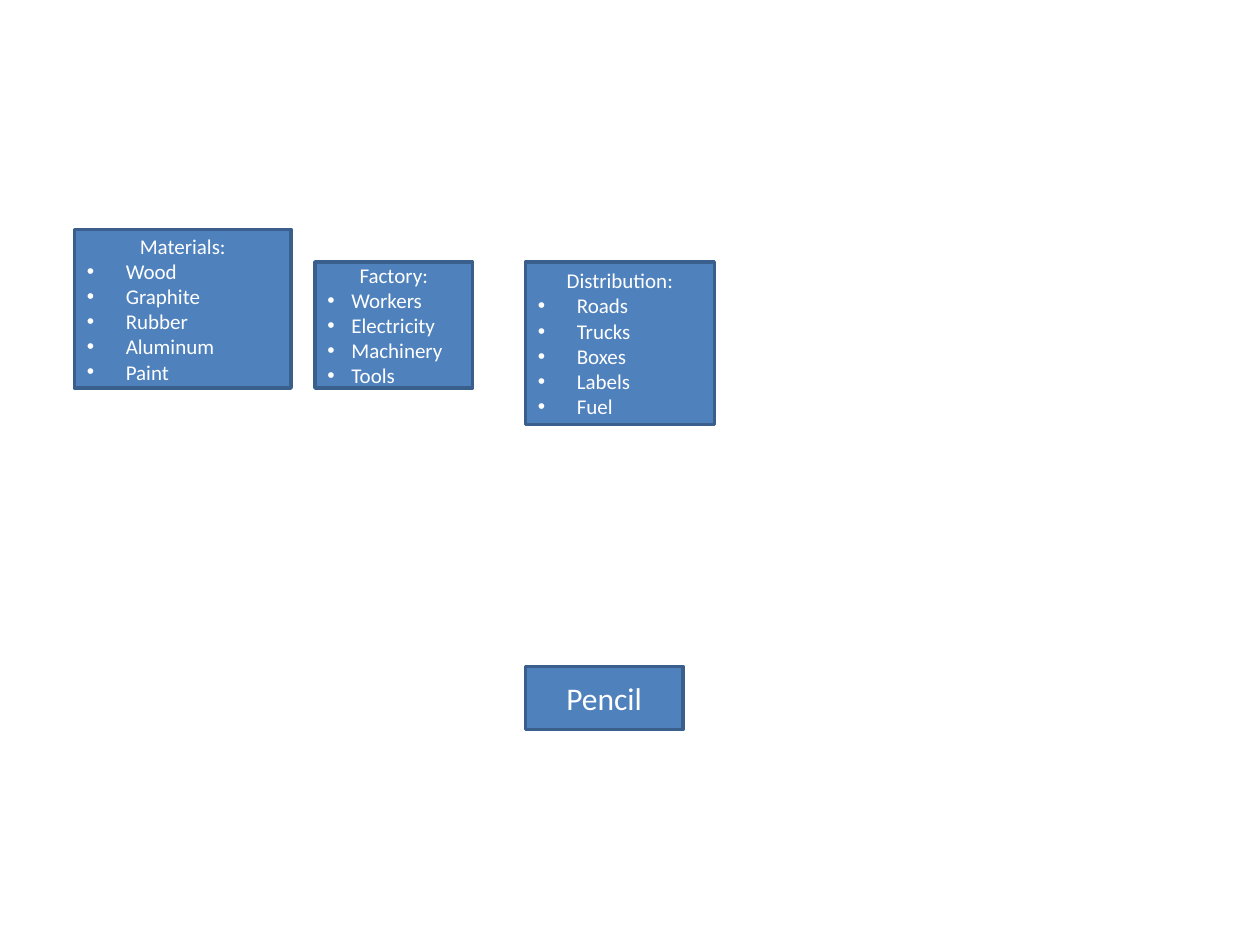
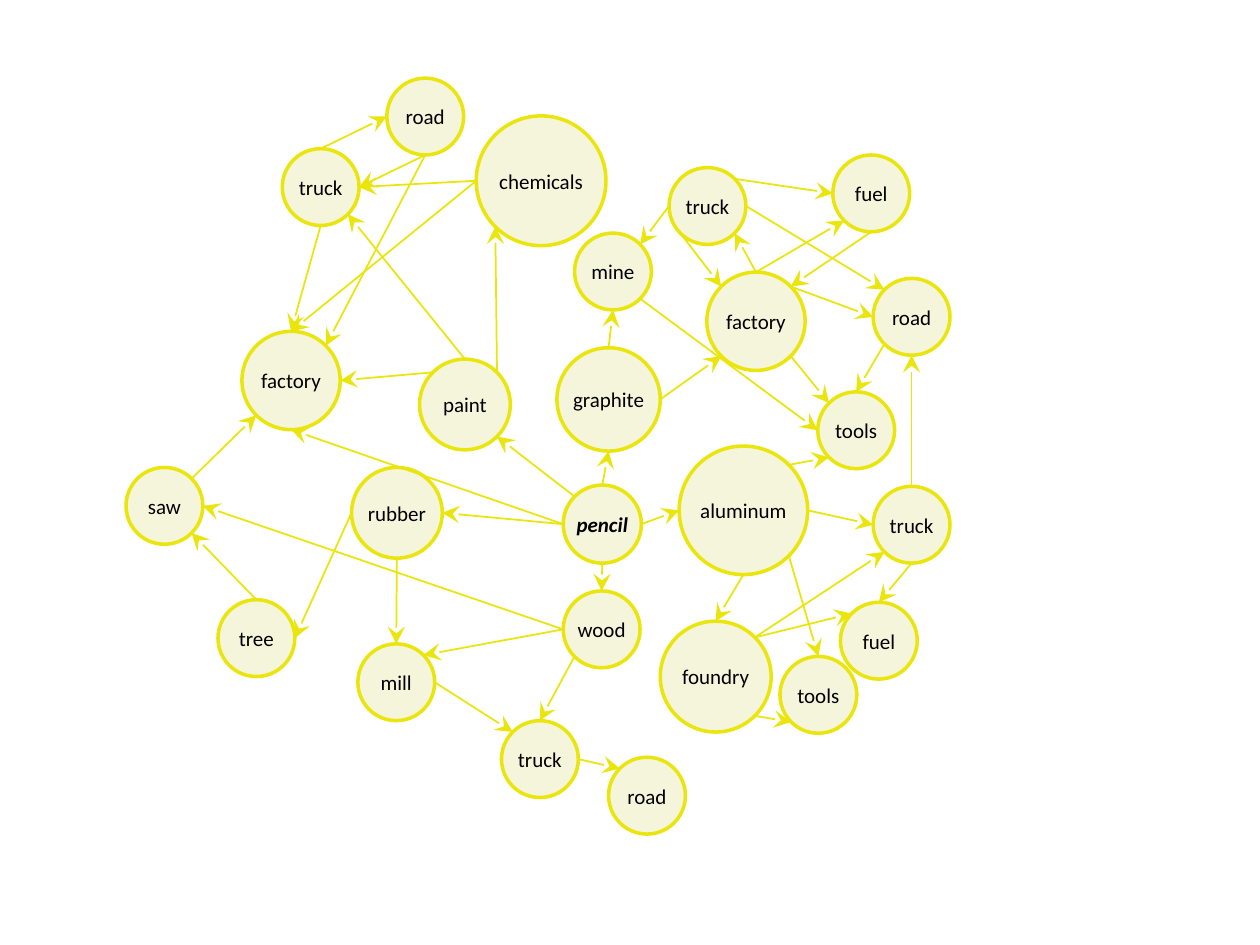
from math import hypot

from lxml.etree import SubElement
from pptx import Presentation
from pptx.dml.color import RGBColor
from pptx.enum.shapes import MSO_CONNECTOR, MSO_SHAPE
from pptx.enum.text import MSO_ANCHOR, PP_ALIGN
from pptx.oxml.ns import qn
from pptx.util import Inches, Pt

COLORS = {
    "box": "4F81BD",
    "box_edge": "3A5F8C",
    "box_text": "FFFFFF",
    "node": "F5F5DC",
    "node_edge": "EAE50D",
    "node_text": "000000",
}
FONT = "Calibri"
SLIDE_WIDTH, SLIDE_HEIGHT = Inches(10), Inches(7.5)
COLUMNS = 100
CELL = SLIDE_WIDTH / COLUMNS
SMALL = 6.1

STAGES = [
    ("Factory:", ["Workers", "Electricity", "Machinery", "Tools"], (25, 20.8, 12.5, 10), 0.19),
    ("Distribution:", ["Roads", "Trucks", "Boxes", "Labels", "Fuel"], (41.7, 20.8, 15, 12.9), 0.31),
    ("Materials:", ["Wood", "Graphite", "Rubber", "Aluminum", "Paint"], (5.9, 18.2, 17.2, 12.6), 0.31),
]

NODES = {
    "pencil": (47.8, 41.6, 6.2),
    "graphite": (48.3, 31.7, 8.2),
    "aluminum": (59, 40.5, 10.2),
    "wood": (47.75, 49.95, SMALL),
    "rubber": (31.5, 40.7, 7.2),
    "tree": (20.35, 50.65, SMALL),
    "saw": (13.05, 40.15, SMALL),
    "mill": (31.45, 54.15, SMALL),
    "paint": (36.9, 32.1, 7.2),
    "chemicals": (42.95, 14.35, 10.3),
    "foundry": (56.8, 53.7, 8.8),
    "mine": (48.65, 21.55, SMALL),
    "factory west": (23.1, 30.2, 7.8),
    "factory east": (60, 25.5, 7.8),
    "truck west": (25.45, 14.85, SMALL),
    "truck north": (56.15, 16.35, SMALL),
    "truck east": (72.35, 41.65, SMALL),
    "truck south": (42.85, 60.25, SMALL),
    "road west": (33.75, 9.25, SMALL),
    "road east": (72.35, 25.15, SMALL),
    "road south": (51.35, 63.15, SMALL),
    "fuel north": (69.15, 15.35, SMALL),
    "fuel south": (69.75, 50.85, SMALL),
    "tools east": (67.95, 34.15, SMALL),
    "tools south": (64.95, 55.15, SMALL),
}

NEEDS = [
    ("pencil", "N", "graphite", "S"),
    ("pencil", "E", "aluminum", "W"),
    ("pencil", "S", "wood", "N"),
    ("pencil", "W", "rubber", "E"),
    ("pencil", "NW", "paint", "SE"),
    ("pencil", "W", "factory west", "S"),
    ("paint", "NW", "factory west", "E"),
    ("paint", "N", "truck west", "SE"),
    ("paint", "NE", "chemicals", "SW"),
    ("chemicals", "W", "factory west", "N"),
    ("chemicals", "W", "truck west", "E"),
    ("truck west", "N", "road west", "W"),
    ("truck west", "S", "factory west", "N"),
    ("road west", "S", "truck west", "E"),
    ("road west", "S", "factory west", "NE"),
    ("graphite", "N", "mine", "S"),
    ("graphite", "E", "factory east", "SW"),
    ("mine", "SE", "tools east", "W"),
    ("factory east", "SE", "tools east", "NW"),
    ("factory east", "N", "truck north", "SE"),
    ("factory east", "NE", "road east", "W"),
    ("factory east", "N", "fuel north", "SW"),
    ("truck north", "SW", "factory east", "NW"),
    ("truck north", "W", "mine", "NE"),
    ("truck north", "E", "road east", "NW"),
    ("truck north", "NE", "fuel north", "W"),
    ("fuel north", "S", "factory east", "NE"),
    ("road east", "SW", "tools east", "N"),
    ("aluminum", "NE", "tools east", "SW"),
    ("aluminum", "E", "truck east", "W"),
    ("aluminum", "SE", "tools south", "N"),
    ("aluminum", "S", "foundry", "N"),
    ("foundry", "SE", "tools south", "SW"),
    ("foundry", "NE", "fuel south", "NW"),
    ("foundry", "NE", "truck east", "SW"),
    ("truck east", "S", "fuel south", "N"),
    ("truck east", "N", "road east", "S"),
    ("rubber", "W", "tree", "E"),
    ("rubber", "S", "mill", "N"),
    ("tree", "N", "saw", "SE"),
    ("saw", "NE", "factory west", "SW"),
    ("wood", "W", "mill", "NE"),
    ("wood", "SW", "truck south", "N"),
    ("wood", "W", "saw", "E"),
    ("mill", "E", "truck south", "NW"),
    ("truck south", "E", "road south", "NW"),
]


def cells(*counts):
    return [round(count * CELL) for count in counts]


def write(paragraph, text, color, size=12, bold=False, italic=False,
          align=PP_ALIGN.CENTER, hanging=None):
    paragraph.alignment = align
    if hanging:
        properties = paragraph._p.get_or_add_pPr()
        properties.set("marL", str(Inches(hanging)))
        properties.set("indent", str(-Inches(hanging)))
        SubElement(properties, qn("a:buFont"), typeface="Arial")
        SubElement(properties, qn("a:buChar"), char="•")
    run = paragraph.add_run()
    run.text = text
    run.font.name = FONT
    run.font.size = Pt(size)
    run.font.bold = bold
    run.font.italic = italic
    run.font.color.rgb = RGBColor.from_string(COLORS[color])


def add_outlined(slide, preset, place, kind):
    outlined = slide.shapes.add_shape(preset, *cells(*place))
    outlined.shadow.inherit = False
    outlined.fill.solid()
    outlined.fill.fore_color.rgb = RGBColor.from_string(COLORS[kind])
    outlined.line.color.rgb = RGBColor.from_string(COLORS[kind + "_edge"])
    outlined.line.width = Pt(2)
    frame = outlined.text_frame
    frame.word_wrap = True
    frame.vertical_anchor = MSO_ANCHOR.MIDDLE
    return frame


def add_box(slide, heading, place, items=(), hanging=None, size=12):
    frame = add_outlined(slide, MSO_SHAPE.RECTANGLE, place, "box")
    write(frame.paragraphs[0], heading, "box_text", size=size)
    for item in items:
        write(frame.add_paragraph(), item, "box_text", align=PP_ALIGN.LEFT, hanging=hanging)


def add_node(slide, node):
    x, y, diameter = NODES[node]
    place = (x - diameter / 2, y - diameter / 2, diameter, diameter)
    frame = add_outlined(slide, MSO_SHAPE.OVAL, place, "node")
    frame.margin_left = frame.margin_right = frame.margin_top = frame.margin_bottom = 0
    product = node == "pencil"
    write(frame.paragraphs[0], node.split()[0], "node_text", bold=product, italic=product)


def rim_point(node, compass):
    x, y, diameter = NODES[node]
    dx = ("E" in compass) - ("W" in compass)
    dy = ("S" in compass) - ("N" in compass)
    reach = diameter / 2 / hypot(dx, dy)
    return cells(x + dx * reach, y + dy * reach)


def add_need(slide, product, leaving, supply, entering):
    arrow = slide.shapes.add_connector(
        MSO_CONNECTOR.STRAIGHT, *rim_point(product, leaving), *rim_point(supply, entering))
    arrow.line.color.rgb = RGBColor.from_string(COLORS["node_edge"])
    arrow.line.width = Pt(1)
    SubElement(arrow.line._get_or_add_ln(), qn("a:tailEnd"), type="stealth", w="lg", len="lg")
    SubElement(arrow._element.spPr, qn("a:effectLst"))


def main():
    deck = Presentation()
    deck.slide_width, deck.slide_height = SLIDE_WIDTH, SLIDE_HEIGHT
    blank = deck.slide_layouts[6]

    stages = deck.slides.add_slide(blank)
    add_box(stages, "Pencil", (41.7, 52.9, 12.5, 5), size=18)
    for heading, items, place, hanging in STAGES:
        add_box(stages, heading, place, items, hanging)

    network = deck.slides.add_slide(blank)
    for node in NODES:
        add_node(network, node)
    for need in NEEDS:
        add_need(network, *need)

    deck.save("out.pptx")


if __name__ == "__main__":
    main()
